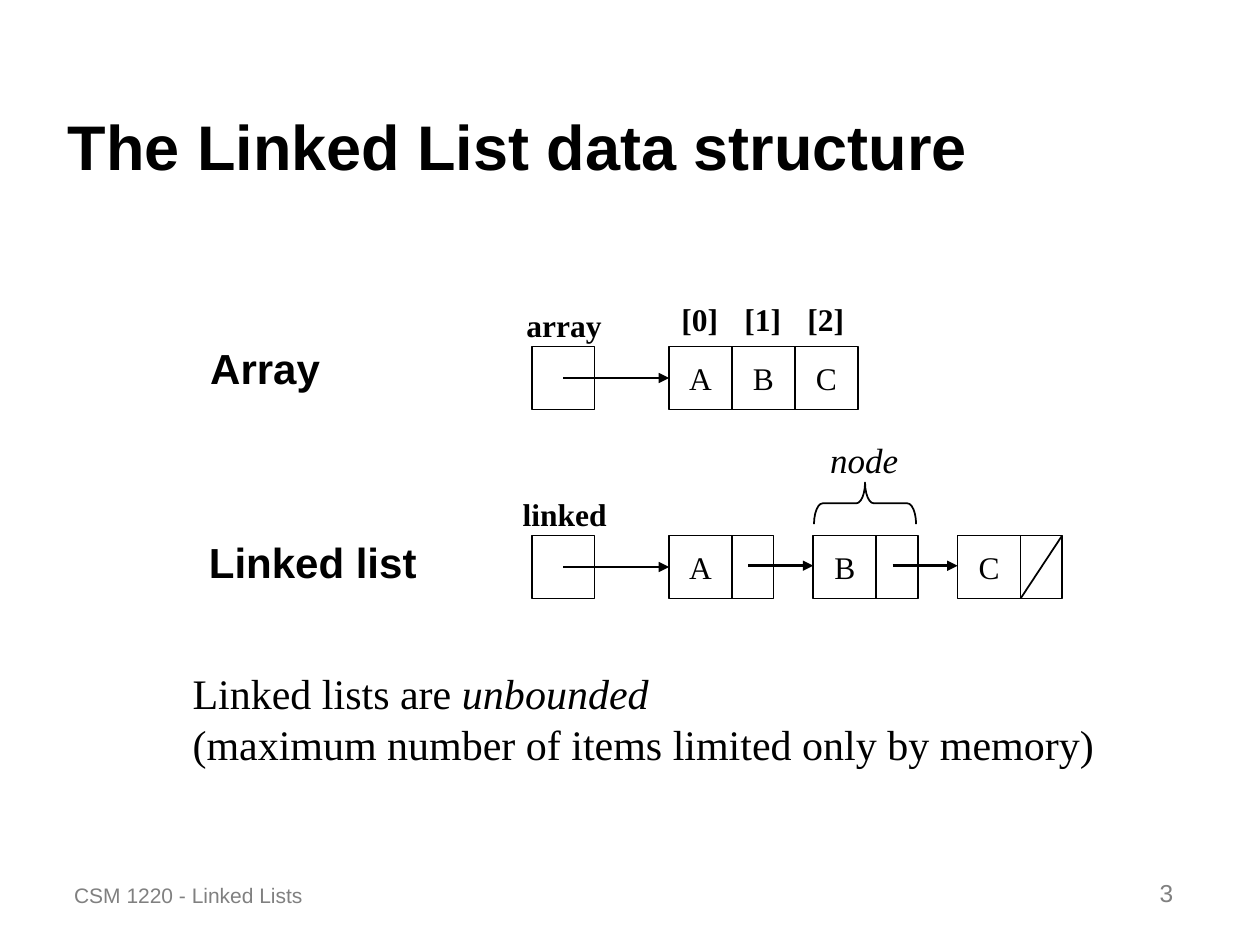
"""Build a slide that compares an array with a linked list."""
import pptx
import pptx.util
import pptx.dml.color
import pptx.enum.shapes
import pptx.enum.text
import lxml.etree

Inches = pptx.util.Inches
Pt = pptx.util.Pt
Shape = pptx.enum.shapes.MSO_SHAPE
Anchor = pptx.enum.text.MSO_ANCHOR
Align = pptx.enum.text.PP_ALIGN
Fit = pptx.enum.text.MSO_AUTO_SIZE
hues = {"ink": "000000", "gray": "808080"}
serif, sans = "Times New Roman", "Arial"

deck = pptx.Presentation()
deck.slide_width, deck.slide_height = Inches(10), Inches(7.5)
slide = deck.slides.add_slide(deck.slide_layouts[6])
shapes = slide.shapes


def write(item, lines, size, font, hue="ink", bold=False, wrap=False,
          anchor=Anchor.TOP, align=Align.LEFT):
    frame = item.text_frame
    frame.auto_size = Fit.NONE
    frame.word_wrap = wrap
    frame.vertical_anchor = anchor
    for row, runs in enumerate(lines):
        para = frame.add_paragraph() if row else frame.paragraphs[0]
        para.alignment = align
        for text, slant in runs:
            run = para.add_run()
            run.text = text
            run.font.size = Pt(size)
            run.font.name = font
            run.font.bold = bold
            run.font.italic = slant
            run.font.color.rgb = pptx.dml.color.RGBColor.from_string(hues[hue])


def join(x1, y1, x2, y2, width=1.5, arrow=True):
    line = shapes.add_connector(pptx.enum.shapes.MSO_CONNECTOR.STRAIGHT,
                                Inches(x1), Inches(y1), Inches(x2), Inches(y2))
    line.line.width = Pt(width)
    line.line.color.rgb = pptx.dml.color.RGBColor.from_string(hues["ink"])
    props = line._element.spPr
    if arrow:
        tip = lxml.etree.SubElement(props.ln, pptx.oxml.ns.qn("a:tailEnd"))
        tip.set("type", "triangle")
    lxml.etree.SubElement(props, pptx.oxml.ns.qn("a:effectLst"))


cell, link = 0.5, 0.33
start, first, step = 4.22, 5.31, 1.145
top, low = 2.75, 4.25

boxes = [(start, top, cell, ""), (start, low, cell, "")]
for num, name in enumerate("ABC"):
    node = first + num * step
    boxes += [(first + num * cell, top, cell, name), (node, low, cell, name),
              (node + cell, low, link, "")]
for x, y, width, name in boxes:
    box = shapes.add_shape(Shape.RECTANGLE, Inches(x), Inches(y),
                           Inches(width), Inches(cell))
    box.shadow.inherit = False
    box.fill.background()
    box.line.width = Pt(1)
    box.line.color.rgb = pptx.dml.color.RGBColor.from_string(hues["ink"])
    if name:
        write(box, [[(name, False)]], 18, serif,
              anchor=Anchor.MIDDLE, align=Align.CENTER)

for y in (top, low):
    join(start + cell / 2, y + cell / 2, first, y + cell / 2)
for num in range(2):
    node = first + num * step
    join(node + 0.63, 4.49, node + step, 4.49)
tail = first + 2 * step + cell
join(tail, low + cell, tail + link, low, width=1, arrow=False)

brace = shapes.add_shape(Shape.LEFT_BRACE, Inches(6.7), Inches(3.59),
                         Inches(0.33), Inches(0.81))
brace.rotation = 90
brace.adjustments[0] = 0.21
brace.shadow.inherit = False
brace.fill.background()
brace.line.width = Pt(1)
brace.line.color.rgb = pptx.dml.color.RGBColor.from_string(hues["ink"])

labels = [
    (4.08, 2.38, 0.79, 0.4, "array", 18, serif, True, False),
    (4.05, 3.88, 0.86, 0.4, "linked", 18, serif, True, False),
    (1.57, 2.67, 1.07, 0.5, "Array", 24, sans, True, False),
    (1.56, 4.21, 1.85, 0.5, "Linked list", 24, sans, True, False),
    (6.49, 3.43, 0.74, 0.44, "node", 20, serif, False, True),
]
for num in range(3):
    labels.append((first + num * cell, 2.33, 0.49, 0.4, f"[{num}]", 18,
                   serif, True, False))
for x, y, width, height, text, size, font, bold, slant in labels:
    note = shapes.add_textbox(Inches(x), Inches(y), Inches(width), Inches(height))
    write(note, [[(text, slant)]], size, font, bold=bold)

body = shapes.add_textbox(Inches(1.43), Inches(5.25), Inches(7.35), Inches(0.9))
write(body, [[("Linked lists are ", False), ("unbounded", True)],
             [("(maximum number of items limited only by memory)", False)]],
      24, serif)

title = shapes.add_textbox(Inches(0.44), Inches(0.25), Inches(9.06), Inches(1.25))
write(title, [[("The Linked List data structure", False)]], 36, sans,
      bold=True, wrap=True, anchor=Anchor.BOTTOM)

foot = shapes.add_textbox(Inches(0.49), Inches(6.75), Inches(3), Inches(0.5))
write(foot, [[("CSM 1220 - Linked Lists", False)]], 12, sans, "gray",
      wrap=True, anchor=Anchor.BOTTOM)

page = shapes.add_textbox(Inches(7.33), Inches(6.75), Inches(2.08), Inches(0.5))
write(page, [[("3", False)]], 14, sans, "gray", wrap=True,
      anchor=Anchor.BOTTOM, align=Align.RIGHT)

deck.save("out.pptx")
